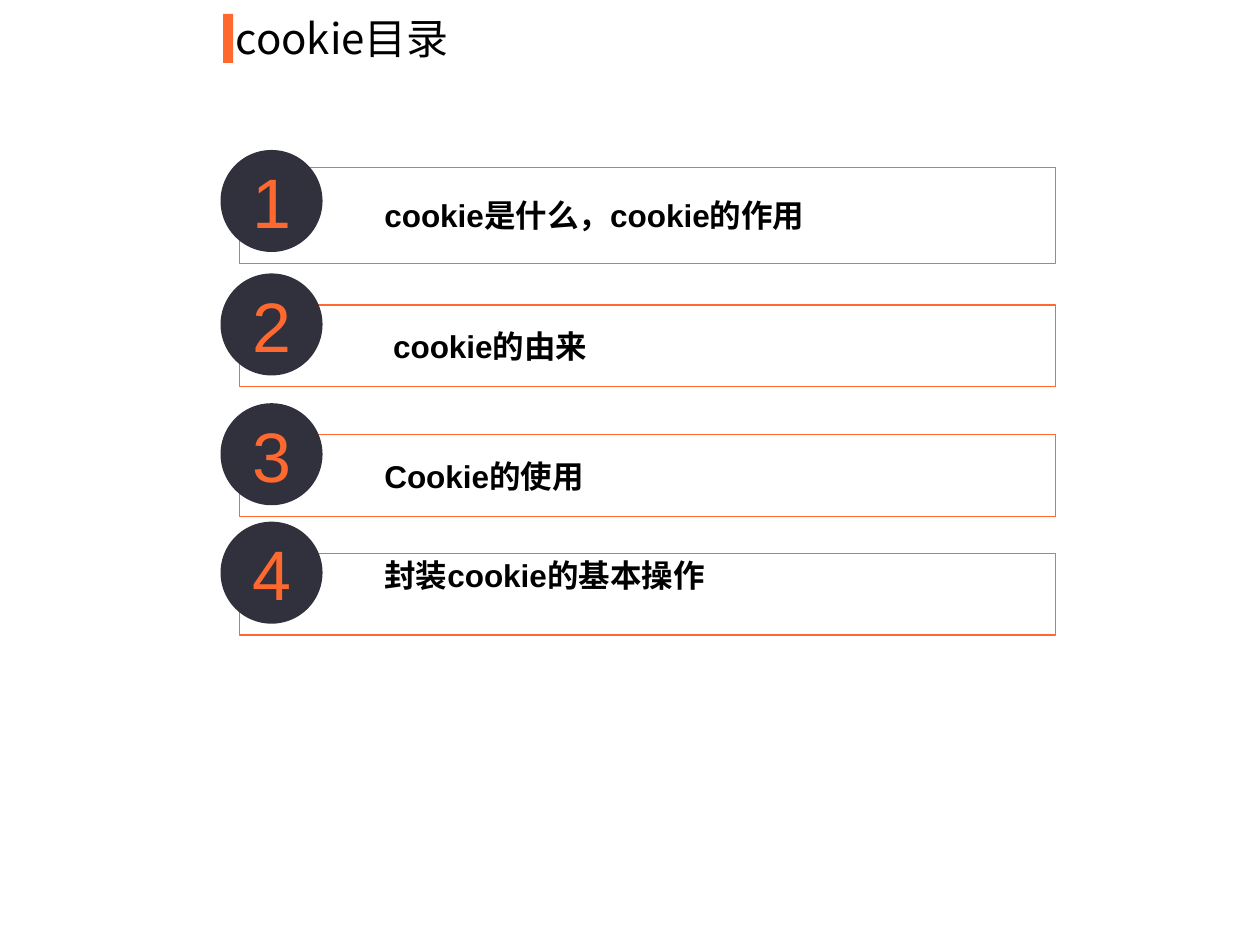
import pptx
import pptx.util
import pptx.dml.color
import pptx.enum.shapes
import pptx.enum.text
import pptx.oxml
import pptx.oxml.ns
from dataclasses import dataclass

Inches = pptx.util.Inches
RGB = pptx.dml.color.RGBColor.from_string
MSO_SHAPE = pptx.enum.shapes.MSO_SHAPE
MSO_ANCHOR = pptx.enum.text.MSO_ANCHOR
PP_ALIGN = pptx.enum.text.PP_ALIGN


@dataclass
class Theme:
    accent: str = "FF682F"
    dark: str = "30313C"
    white: str = "FFFFFF"
    black: str = "000000"
    latin: str = "Arial"
    cjk: str = "Noto Sans CJK SC"
    title: int = 24
    item: int = 18
    number: int = 40


theme = Theme()


def add_run(p, text, size, color, font, bold=False):
    r = p.add_run()
    r.text = text
    r.font.size = pptx.util.Pt(size)
    r.font.name = font
    r.font.bold = bold
    r.font.color.rgb = RGB(color)
    ea = pptx.oxml.parse_xml(f'<a:ea {pptx.oxml.ns.nsdecls("a")} typeface="{theme.cjk}"/>')
    r.font._element.find(pptx.oxml.ns.qn("a:latin")).addnext(ea)


def add_filled(s, kind, left, top, width, height, color):
    sp = s.shapes.add_shape(kind, Inches(left), Inches(top), Inches(width), Inches(height))
    sp.shadow.inherit = False
    sp.fill.solid()
    sp.fill.fore_color.rgb = RGB(color)
    sp.line.fill.background()
    return sp


prs = pptx.Presentation()
prs.slide_width = Inches(10)
prs.slide_height = Inches(7.5)
s = prs.slides.add_slide(prs.slide_layouts[5])

add_filled(s, MSO_SHAPE.RECTANGLE, 1.77, 0.11, 0.08, 0.39, theme.accent)

title = s.shapes.title
title.left, title.top = Inches(1.77), Inches(0.05)
title.width, title.height = Inches(4.02), Inches(0.5)
tf = title.text_frame
tf.auto_size = pptx.enum.text.MSO_AUTO_SIZE.NONE
tf.vertical_anchor = MSO_ANCHOR.TOP
p = tf.paragraphs[0]
p.alignment = PP_ALIGN.LEFT
add_run(p, "cookie目录", theme.title, theme.black, theme.cjk)

items = [
    ("cookie是什么，cookie的作用", 1.19, 1.33, 0.76, MSO_ANCHOR.MIDDLE, 0.08),
    (" cookie的由来", 2.17, 2.42, 0.65, MSO_ANCHOR.MIDDLE, 0.08),
    ("Cookie的使用", 3.2, 3.45, 0.65, MSO_ANCHOR.MIDDLE, 0.08),
    ("封装cookie的基本操作", 4.14, 4.39, 0.65, MSO_ANCHOR.TOP, 0.02),
]

for number, (text, circle_top, box_top, box_height, anchor, inset) in enumerate(items, 1):
    box = add_filled(s, MSO_SHAPE.RECTANGLE, 1.9, box_top, 6.48, box_height, theme.white)
    color = box.fill._xPr.find(".//" + pptx.oxml.ns.qn("a:srgbClr"))
    color.append(pptx.oxml.parse_xml(f'<a:alpha {pptx.oxml.ns.nsdecls("a")} val="40000"/>'))
    box.line.color.rgb = RGB(theme.accent)
    box.line.width = pptx.util.Pt(0.75)
    tf = box.text_frame
    tf.word_wrap = True
    tf.vertical_anchor = anchor
    tf.margin_left = Inches(1.15)
    tf.margin_right = tf.margin_bottom = Inches(0.08)
    tf.margin_top = Inches(inset)
    p = tf.paragraphs[0]
    p.alignment = PP_ALIGN.LEFT
    add_run(p, text, theme.item, theme.black, theme.latin, bold=True)

    circle = add_filled(s, MSO_SHAPE.OVAL, 1.75, circle_top, 0.81, 0.81, theme.dark)
    tf = circle.text_frame
    tf.vertical_anchor = MSO_ANCHOR.MIDDLE
    p = tf.paragraphs[0]
    p.alignment = PP_ALIGN.CENTER
    add_run(p, str(number), theme.number, theme.accent, theme.latin)

prs.save("out.pptx")
